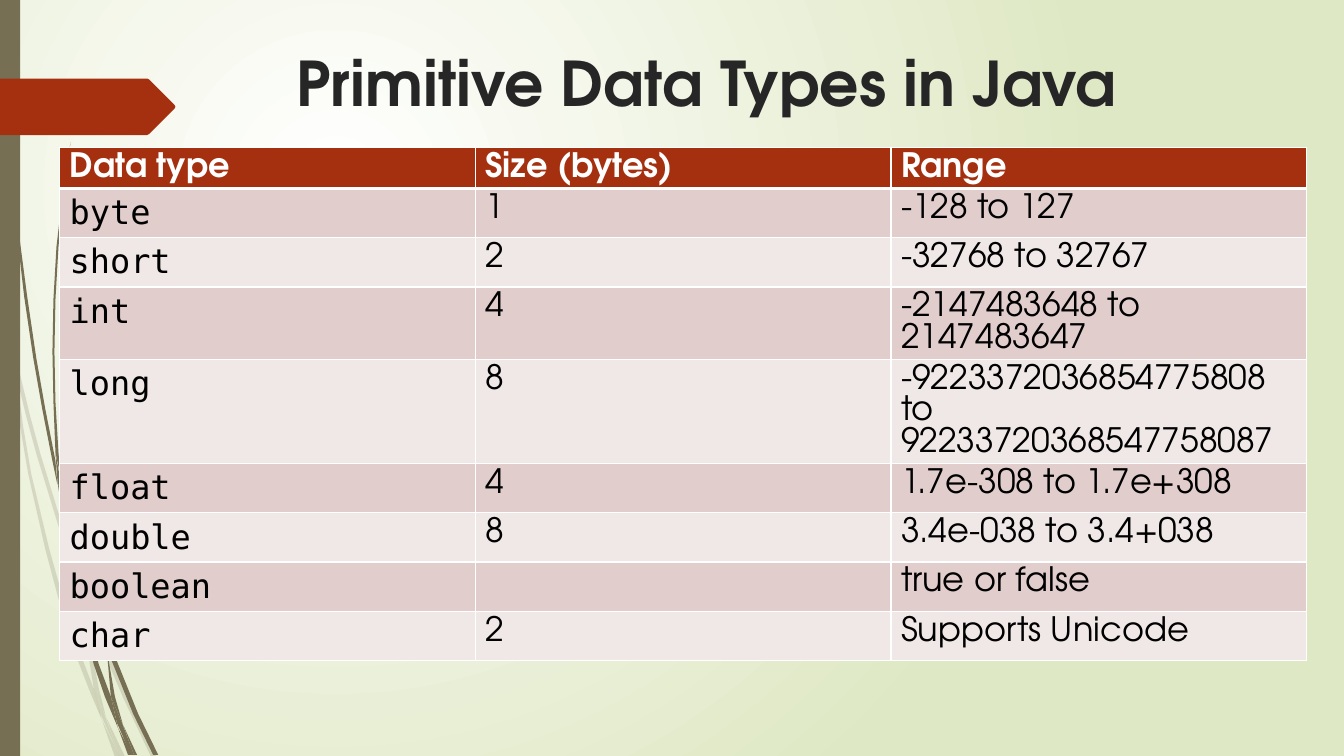
from dataclasses import dataclass

from lxml.etree import SubElement
from pptx import Presentation
from pptx.dml.color import RGBColor
from pptx.enum.shapes import MSO_SHAPE
from pptx.enum.text import MSO_ANCHOR, PP_ALIGN
from pptx.oxml import parse_xml
from pptx.oxml.ns import nsdecls, qn
from pptx.util import Emu, Pt

UNIT = 9144  # one grid step: a hundredth of an inch


@dataclass(frozen=True)
class Theme:
    font: str = "TeX Gyre Adventor"
    mono: str = "DejaVu Sans Mono"
    head: int = 44
    body: int = 24
    ink: str = "262626"
    black: str = "000000"
    white: str = "FFFFFF"
    green: str = "DFE8C4"
    olive: str = "766F54"
    rust: str = "A53010"
    bands: tuple = ("F0E8E7", "E1CDCC")


THEME = Theme()

ROWS = [
    ("Data type", "Size (bytes)", "Range"),
    ("byte", "1", "-128 to 127"),
    ("short", "2", "-32768 to 32767"),
    ("int", "4", "-2147483648 to\n2147483647"),
    ("long", "8", "-9223372036854775808 to\n92233720368547758087"),
    ("float", "4", "1.7e-308 to 1.7e+308"),
    ("double", "8", "3.4e-038 to 3.4+038"),
    ("boolean", "", "true or false"),
    ("char", "2", "Supports Unicode"),
]

# Grass blades: left edge, height on the slide and breadth, in grid steps
PALE = [
    [(0, 282, 0), (0, 299, 4), (7, 330, 3), (11, 350, 0)],
    [(14, 345, 0), (17, 376, 4), (36, 450, 4), (58, 522, 4), (84, 599, 0)],
    [(88, 596, 0), (88, 610, 5), (123, 694, 5), (150, 751, 5)],
    [(105, 711, 0), (119, 751, 5)],
    [(11, 350, 0), (14, 376, 3), (28, 470, 3), (65, 620, 5), (88, 683, 5), (101, 714, 0)],
    [(84, 599, 0), (87, 646, 4), (93, 683, 5), (105, 711, 0)],
    [(312, 153, 0), (228, 244, 1), (158, 348, 2), (107, 461, 3), (85, 584, 3), (88, 596, 0)],
    [(101, 714, 0), (114, 751, 5)],
    [(85, 586, 0), (84, 599, 4), (88, 610, 0)],
    [(93, 683, 0), (99, 707, 4), (119, 751, 0)],
]
DARK = [
    [(3, 0, 1), (7, 110, 1), (17, 233, 2), (33, 355, 3), (52, 457, 3), (57, 481, 0)],
    [(60, 472, 0), (64, 505, 4), (88, 592, 5), (106, 645, 0)],
    [(110, 641, 0), (111, 656, 5), (132, 708, 5), (152, 749, 5)],
    [(57, 477, 0), (61, 505, 3), (68, 557, 4), (93, 659, 5), (104, 691, 6), (117, 722, 0)],
    [(70, 141, 0), (56, 245, 2), (52, 349, 2), (55, 449, 3), (60, 472, 0)],
    [(122, 719, 0), (133, 749, 3)],
    [(55, 449, 0), (57, 477, 3), (64, 505, 0)],
    [(260, 344, 0), (204, 405, 1), (156, 474, 2), (122, 551, 3), (106, 631, 4), (110, 641, 0)],
    [(117, 722, 0), (127, 749, 4)],
    [(106, 645, 0), (110, 691, 4), (122, 719, 0)],
    [(106, 631, 0), (106, 645, 4), (111, 656, 0)],
    [(110, 691, 0), (116, 717, 5), (130, 749, 3)],
]
TAG = [(0, 78), (146, 78), (148, 79), (173, 104), (174, 106),
       (173, 108), (148, 133), (146, 134), (0, 134)]


def grid(*steps):
    return [Emu(round(n * UNIT)) for n in steps]


def paint(shape, color, alpha=None):
    shape.shadow.inherit = False
    shape.fill.solid()
    shape.fill.fore_color.rgb = RGBColor.from_string(color)
    shape.line.fill.background()
    if alpha:
        tint = shape.fill._xPr.find(".//" + qn("a:srgbClr"))
        SubElement(tint, qn("a:alpha"), val=str(alpha * 1000))


def outline(slide, dots, color, alpha=None):
    pen = slide.shapes.build_freeform(*dots[0], scale=UNIT)
    pen.add_line_segments(dots[1:], close=True)
    paint(pen.convert_to_shape(), color, alpha)


def smooth(spine):
    """Add a point halfway along each long stretch, on a cubic curve."""
    last = len(spine) - 1

    def slope(i):
        a, b = spine[max(i - 1, 0)], spine[min(i + 1, last)]
        return (b[0] - a[0]) / (b[1] - a[1])

    dots = []
    for i in range(last):
        (x, y, w), (u, v, z) = spine[i:i + 2]
        dots.append(spine[i])
        if v - y > 60:
            bend = (v - y) * (slope(i) - slope(i + 1)) / 8
            dots.append(((x + u) / 2 + bend, (y + v) / 2, (w + z) / 2))
    return dots + [spine[-1]]


def blade(slide, spine, alpha=None):
    dots = smooth(spine)
    left = [(x, y) for x, y, w in dots]
    right = [(x + w, y) for x, y, w in reversed(dots) if w]
    outline(slide, left + right, THEME.olive, alpha)


def glow(slide):
    fill = slide.background.fill
    fill.gradient()
    for stop, color in zip(fill.gradient_stops, (THEME.white, THEME.green)):
        stop.color.rgb = RGBColor.from_string(color)
    grad = slide.element.find(".//" + qn("a:gradFill"))
    grad.replace(grad.find(qn("a:lin")), parse_xml(
        f'<a:path {nsdecls("a")} path="circle">'
        '<a:fillToRect l="50000" t="50000" r="100000" b="100000"/></a:path>'))


def style(frame, font, size, color, bold=False):
    for para in frame.paragraphs:
        para.alignment = PP_ALIGN.LEFT
        para.line_spacing = 1.0
        for run in para.runs:
            run.font.name = font
            run.font.size = Pt(size)
            run.font.bold = bold
            run.font.color.rgb = RGBColor.from_string(color)


def title(slide, text):
    head = slide.shapes.title
    head.left, head.top, head.width, head.height = grid(284, 40, 975, 140)
    head.text_frame.text = text
    head.text_frame.vertical_anchor = MSO_ANCHOR.TOP
    style(head.text_frame, THEME.font, THEME.head, THEME.ink, True)


def border(cell, row):
    props = cell._tc.get_or_add_tcPr()
    thick = {("B", 0), ("T", 1)}
    for i, side in enumerate("LRTB"):
        width = Pt(3 if (side, row) in thick else 1)
        props.insert(i, parse_xml(
            f'<a:ln{side} {nsdecls("a")} w="{width}"><a:solidFill>'
            f'<a:srgbClr val="{THEME.white}"/></a:solidFill></a:ln{side}>'))


def table(slide, rows):
    box = grid(59, 146, 1237, 41 * len(rows))
    types = slide.shapes.add_table(len(rows), len(rows[0]), *box).table
    for r, texts in enumerate(rows):
        for c, text in enumerate(texts):
            cell = types.cell(r, c)
            cell.text_frame.text = text
            cell.fill.solid()
            shade = THEME.bands[r % 2] if r else THEME.rust
            cell.fill.fore_color.rgb = RGBColor.from_string(shade)
            code = r > 0 and c == 0
            style(cell.text_frame, THEME.mono if code else THEME.font, THEME.body,
                  THEME.black if r else THEME.white, r == 0)
            border(cell, r)


def main():
    deck = Presentation()
    deck.slide_width, deck.slide_height = grid(1333, 750)
    slide = deck.slides.add_slide(deck.slide_layouts[5])
    # Backdrop
    glow(slide)
    for spine in PALE:
        blade(slide, spine, 20)
    for spine in DARK:
        blade(slide, spine)
    bar = slide.shapes.add_shape(MSO_SHAPE.RECTANGLE, *grid(0, 0, 20, 750))
    paint(bar, THEME.olive)
    outline(slide, TAG, THEME.rust)
    # Content
    title(slide, "Primitive Data Types in Java")
    table(slide, ROWS)
    deck.save("out.pptx")


if __name__ == "__main__":
    main()
